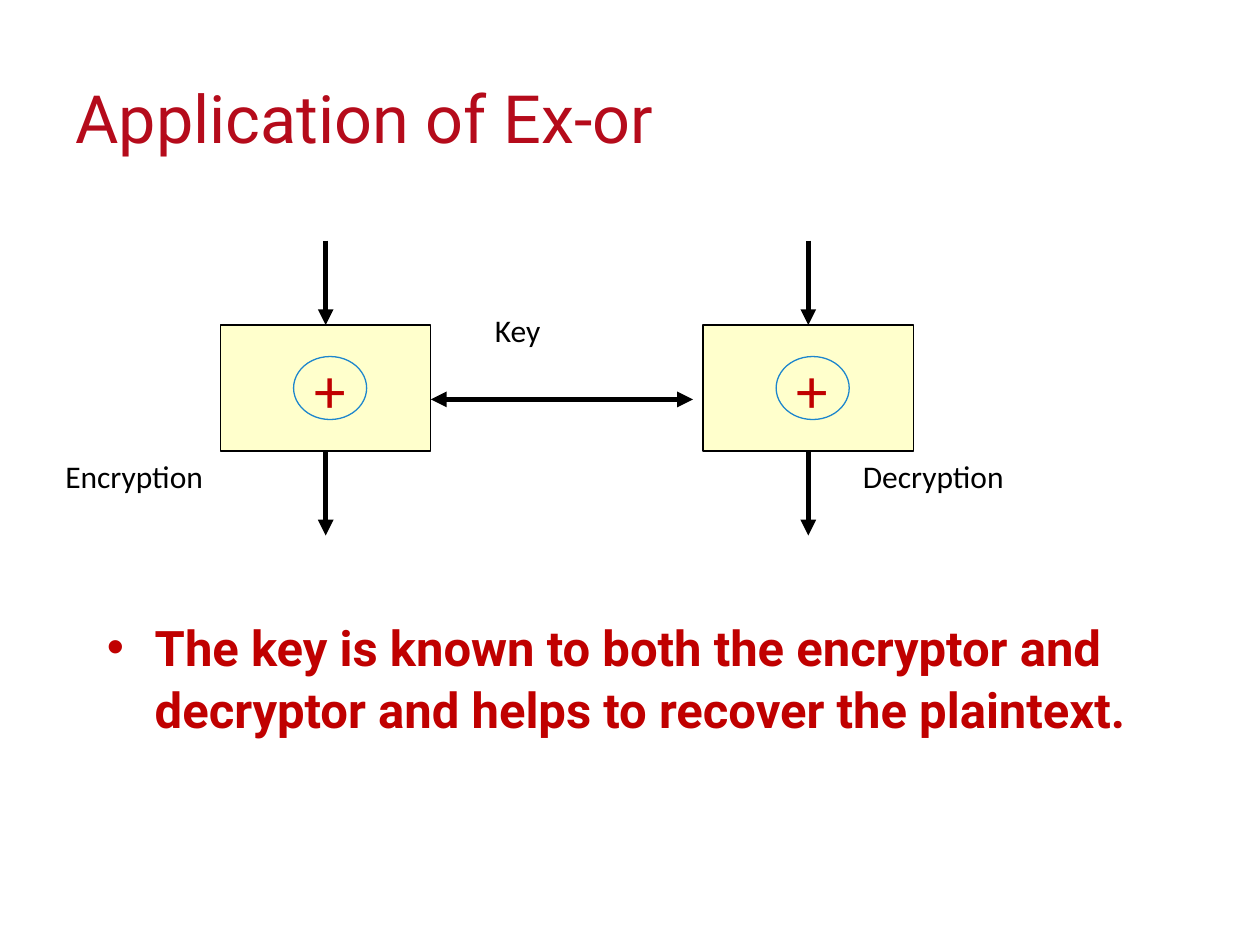
from lxml.etree import SubElement
from pptx import Presentation
from pptx.dml.color import RGBColor
from pptx.enum.shapes import MSO_CONNECTOR, MSO_SHAPE
from pptx.enum.text import MSO_ANCHOR, PP_ALIGN
from pptx.oxml.ns import qn
from pptx.util import Inches, Pt

COLORS = {
    "title": "B50B1B",
    "red": "C00000",
    "cream": "FFFFCC",
    "blue": "1D86CD",
    "black": "000000",
}
BOX_TOP, BOX_WIDTH, BOX_HEIGHT = 2.58, 1.67, 1
ARROW_LENGTH = 0.67


def color(name):
    return RGBColor.from_string(COLORS[name])


def style(frame, size, font, tint, bold=False):
    para = frame.paragraphs[0]
    for run in para.runs:
        run.font.size = Pt(size)
        run.font.name = font
        run.font.bold = bold
        run.font.color.rgb = color(tint)
    return para


def add_text(slide, text, left, top, width, height, size, font, tint, bold=False):
    box = slide.shapes.add_textbox(
        Inches(left), Inches(top), Inches(width), Inches(height))
    frame = box.text_frame
    frame.word_wrap = True
    frame.text = text
    style(frame, size, font, tint, bold)
    return frame


def add_bullet(para, indent):
    props = para._p.get_or_add_pPr()
    props.set("marL", str(Inches(indent)))
    props.set("indent", str(-Inches(indent)))
    SubElement(props, qn("a:buFont"), typeface="Arial")
    SubElement(props, qn("a:buChar"), char="•")


def add_shape(slide, kind, left, top, width, height, edge):
    shape = slide.shapes.add_shape(
        kind, Inches(left), Inches(top), Inches(width), Inches(height))
    shape.shadow.inherit = False
    shape.fill.solid()
    shape.fill.fore_color.rgb = color("cream")
    shape.line.color.rgb = color(edge)
    shape.line.width = Pt(0.75)
    return shape


def add_arrow(slide, x1, y1, x2, y2, both=False):
    arrow = slide.shapes.add_connector(
        MSO_CONNECTOR.STRAIGHT, Inches(x1), Inches(y1), Inches(x2), Inches(y2))
    arrow.line.color.rgb = color("black")
    arrow.line.width = Pt(3)
    line = arrow.line._get_or_add_ln()
    for end in ("a:headEnd", "a:tailEnd") if both else ("a:tailEnd",):
        SubElement(line, qn(end), type="triangle")
    SubElement(arrow._element.spPr, qn("a:effectLst"))
    return arrow


def add_cipher(slide, left):
    """Box with a circled plus, one arrow in at the top and one out below."""
    box = add_shape(slide, MSO_SHAPE.RECTANGLE, left, BOX_TOP,
                    BOX_WIDTH, BOX_HEIGHT, "black")
    circle = add_shape(slide, MSO_SHAPE.OVAL, left + 0.58, BOX_TOP + 0.25,
                       0.58, 0.5, "blue")
    frame = circle.text_frame
    frame.word_wrap = False
    frame.vertical_anchor = MSO_ANCHOR.MIDDLE
    frame.text = "+"
    style(frame, 36, "Calibri", "red").alignment = PP_ALIGN.CENTER

    mid = left + BOX_WIDTH / 2
    base = BOX_TOP + BOX_HEIGHT
    add_arrow(slide, mid, BOX_TOP - ARROW_LENGTH, mid, BOX_TOP).end_connect(box, 0)
    add_arrow(slide, mid, base, mid, base + ARROW_LENGTH).begin_connect(box, 2)


def main():
    deck = Presentation()
    deck.slide_width, deck.slide_height = Inches(10), Inches(7.5)
    slide = deck.slides.add_slide(deck.slide_layouts[6])

    title = add_text(slide, "Application of Ex-or", 0.5, 0.3, 9, 1.25,
                     38, "Roboto", "title")
    title.vertical_anchor = MSO_ANCHOR.MIDDLE

    body = add_text(
        slide,
        "The key is known to both the encryptor and decryptor "
        "and helps to recover the plaintext.",
        0.75, 4.83, 8.5, 1.5, 28, "Roboto", "red", True)
    add_bullet(body.paragraphs[0], 0.38)
    body.paragraphs[0].line_spacing = 1.05

    for left in (1.75, 5.58):
        add_cipher(slide, left)
    add_arrow(slide, 3.42, 3.17, 5.5, 3.17, both=True)

    for text, left, top, width in (
        ("Key", 3.83, 2.42, 1.33),
        ("Encryption", 0.42, 3.58, 2.33),
        ("Decryption", 6.75, 3.58, 2.33),
    ):
        add_text(slide, text, left, top, width, 0.57, 18, "Calibri", "black")

    deck.save("out.pptx")


if __name__ == "__main__":
    main()
